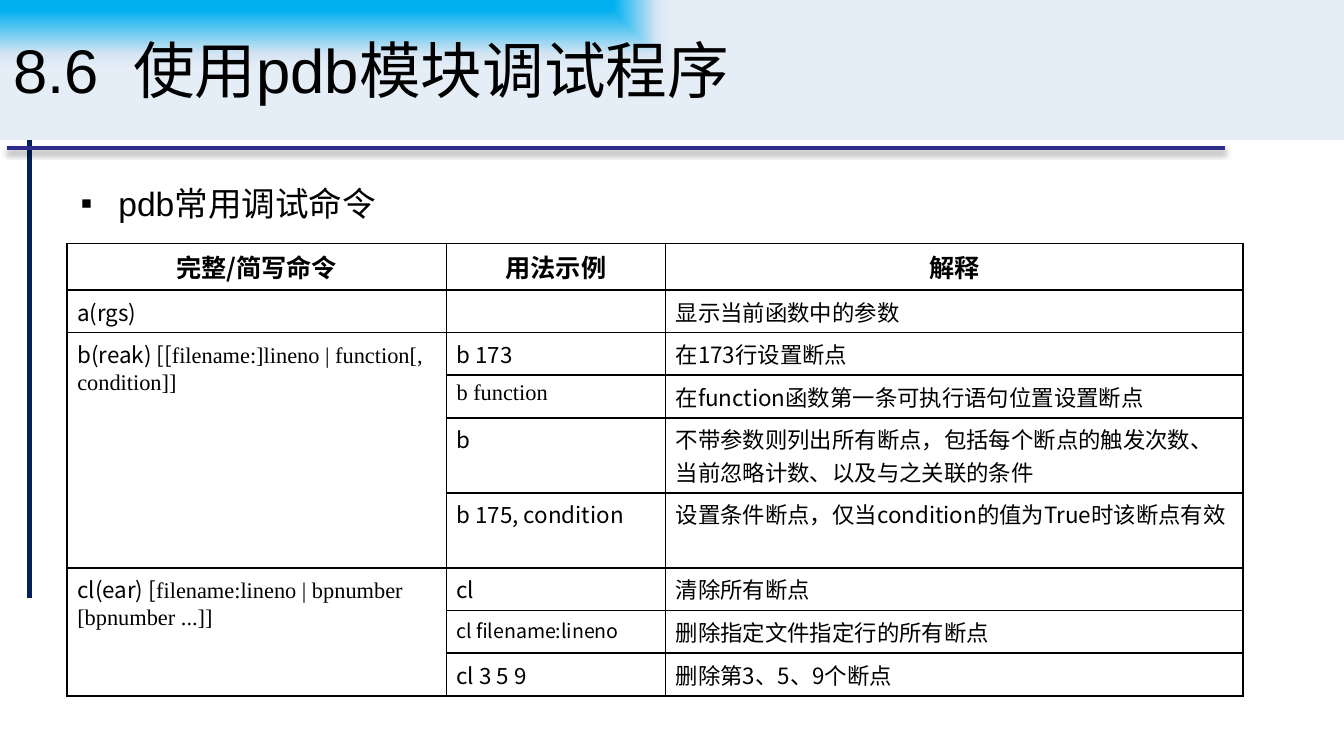
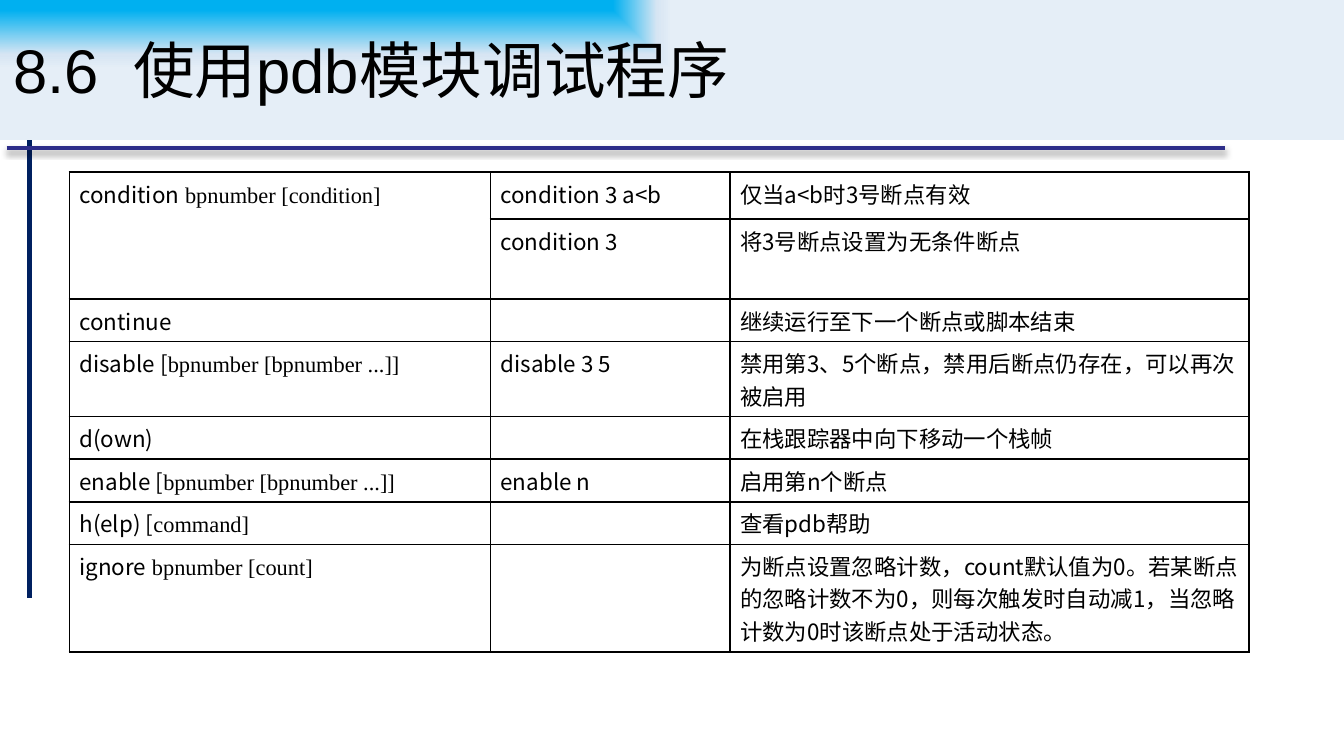
"""Build two slides on the debugging commands of the pdb module."""
from itertools import groupby

from lxml.etree import SubElement
from pptx import Presentation
from pptx.dml.color import RGBColor
from pptx.enum.shapes import MSO_CONNECTOR
from pptx.enum.text import MSO_ANCHOR, MSO_AUTO_SIZE, PP_ALIGN
from pptx.oxml import parse_xml
from pptx.oxml.ns import nsdecls, qn
from pptx.util import Pt

BLACK = RGBColor(0x00, 0x00, 0x00)
NAVY = RGBColor(0x00, 0x20, 0x60)
INDIGO = RGBColor(0x2D, 0x2D, 0x89)
SKY = RGBColor(0x00, 0xB0, 0xF0)
PALE = RGBColor(0xD7, 0xE5, 0xF3)
MIST = RGBColor(0xE5, 0xEE, 0xF7)
HEADING_FONT, SANS, SERIF = "Arial", "Noto Sans CJK SC", "Times New Roman"

TITLE = "8.6  使用pdb模块调试程序"
TITLE_BOX = (0, -0.72, 720, 75.6)
TITLE_STOPS = [(0, SKY), (16, SKY), (79, PALE), (100, MIST)]
BODY_BOX = (36, 94.3, 648, 267)
RULES = [
    {"ends": (15.84, 58.3, 15.84, 320.4), "color": NAVY, "shadow": False},
    {"ends": (3.6, 79.2, 656, 79.2), "color": INDIGO, "shadow": True},
]

SLIDES = [
    {
        "bullet": "pdb常用调试命令",
        "position": (36, 130.5),
        "columns": [203.2, 117.4, 309.4],
        "rows": [21.6, 20.2, 20.2, 21.6, 34.6, 21.6, 20.2, 20.2, 23],
        "header": True,
        "cells": [
            ("完整/简写命令", "用法示例", "解释"),
            ("a(rgs)", "", "显示当前函数中的参数"),
            (("b(reak) [[", "filename:]lineno | function[, condition]]"),
             "b 173", "在173行设置断点"),
            (None, ("", "b function"), "在function函数第一条可执行语句位置设置断点"),
            (None, "b", "不带参数则列出所有断点，包括每个断点的触发次数、当前忽略计数、以及与之关联的条件"),
            (None, "b 175, condition", "设置条件断点，仅当condition的值为True时该断点有效"),
            (("cl(ear) [", "filename:lineno | bpnumber [bpnumber ...]]"),
             "cl", "清除所有断点"),
            (None, "cl filename:lineno", "删除指定文件指定行的所有断点"),
            (None, "cl 3 5 9", "删除第3、5、9个断点"),
        ],
        "small": "cl filename:lineno",
    },
    {
        "bullet": None,
        "position": (37.2, 92.2),
        "columns": [225.6, 128.3, 278],
        "rows": [25.2, 42.8, 20.2, 34.6, 20.2, 22.3, 20.9, 49.7],
        "header": False,
        "cells": [
            (("condition", " bpnumber [condition]"), "condition 3 a<b", "仅当a<b时3号断点有效"),
            (None, "condition 3", "将3号断点设置为无条件断点"),
            ("continue", "", "继续运行至下一个断点或脚本结束"),
            (("disable [", "bpnumber [bpnumber ...]]"), "disable 3 5",
             "禁用第3、5个断点，禁用后断点仍存在，可以再次被启用"),
            ("d(own)", "", "在栈跟踪器中向下移动一个栈帧"),
            (("enable [", "bpnumber [bpnumber ...]]"), "enable n", "启用第n个断点"),
            (("h(elp) [", "command]"), "", "查看pdb帮助"),
            (("ignore", " bpnumber [count]"), "",
             "为断点设置忽略计数，count默认值为0。若某断点的忽略计数不为0，"
             "则每次触发时自动减1，当忽略计数为0时该断点处于活动状态。"),
        ],
        "small": None,
    },
]


def apply_format(target, values):
    for name, value in values.items():
        setattr(target, name, value)


def place(shape, box):
    names = ("left", "top", "width", "height")
    apply_format(shape, {name: Pt(value) for name, value in zip(names, box)})


def add_run(paragraph, text, font, size, bold=False):
    run = paragraph.add_run()
    run.text = text
    apply_format(run.font, {"name": font, "size": Pt(size), "bold": bold})
    run.font.color.rgb = BLACK
    east_asian = SubElement(run.font._element, qn("a:ea"))
    east_asian.set("typeface", SANS)


def add_rules(slide, master):
    for number, rule in enumerate(RULES):
        ends = [Pt(value) for value in rule["ends"]]
        connector = slide.shapes.add_connector(MSO_CONNECTOR.STRAIGHT, *ends)
        connector.line.width = Pt(2.25)
        connector.line.color.rgb = rule["color"]
        effects = SubElement(connector.element.spPr, qn("a:effectLst"))
        if rule["shadow"]:
            effects.append(parse_xml(
                f'<a:outerShdw {nsdecls("a")} blurRad="{Pt(3.1)}" dist="{Pt(1.8)}" '
                'dir="5400000" algn="t" rotWithShape="0"><a:srgbClr val="000000">'
                '<a:alpha val="35000"/></a:srgbClr></a:outerShdw>'))
        connector.element.nvCxnSpPr.cNvPr.set("id", str(100 + number))
        master.shapes.element.append(connector.element)


def format_title(title):
    place(title, TITLE_BOX)
    stops = "".join(f'<a:gs pos="{position * 1000}"><a:srgbClr val="{color}"/></a:gs>'
                    for position, color in TITLE_STOPS)
    title.element.spPr.append(parse_xml(
        f'<a:gradFill {nsdecls("a")} rotWithShape="1"><a:gsLst>{stops}</a:gsLst>'
        '<a:path path="rect"><a:fillToRect r="100000" b="100000"/></a:path>'
        '<a:tileRect l="-100000" t="-100000"/></a:gradFill>'))
    apply_format(title.text_frame, {"vertical_anchor": MSO_ANCHOR.MIDDLE, "word_wrap": True,
                                    "auto_size": MSO_AUTO_SIZE.NONE})
    paragraph = title.text_frame.paragraphs[0]
    paragraph.alignment = PP_ALIGN.LEFT
    add_run(paragraph, TITLE, HEADING_FONT, 33)


def format_body(body, text):
    place(body, BODY_BOX)
    body.text_frame.auto_size = MSO_AUTO_SIZE.NONE
    paragraph = body.text_frame.paragraphs[0]
    paragraph.space_before = Pt(2.7)
    add_run(paragraph, text, HEADING_FONT, 18)
    properties = paragraph._p.get_or_add_pPr()
    properties.set("marL", str(Pt(20.2)))
    properties.set("indent", str(Pt(-20.2)))
    SubElement(properties, qn("a:buFont")).set("typeface", HEADING_FONT)
    SubElement(properties, qn("a:buChar")).set("char", "▪")


def format_cell(cell, content, size, bold):
    apply_format(cell, {"margin_left": Pt(5.4), "margin_right": Pt(5.4),
                        "margin_top": Pt(2.7), "margin_bottom": Pt(2.7),
                        "vertical_anchor": MSO_ANCHOR.TOP})
    cell.fill.background()
    properties = cell._tc.get_or_add_tcPr()
    for index, side in enumerate(("lnL", "lnR", "lnT", "lnB")):
        properties.insert(index, parse_xml(
            f'<a:{side} {nsdecls("a")} w="{Pt(1)}"><a:solidFill>'
            f'<a:srgbClr val="{BLACK}"/></a:solidFill></a:{side}>'))
    paragraph = cell.text_frame.paragraphs[0]
    if bold:
        paragraph.alignment = PP_ALIGN.CENTER
    parts = content if isinstance(content, tuple) else (content, "")
    for text, font in zip(parts, (SANS, SERIF)):
        if text:
            add_run(paragraph, text, font, size, bold)
    if not content:
        SubElement(paragraph._p, qn("a:endParaRPr")).set("sz", str(size * 100))


def add_command_table(slide, data):
    columns, rows, cells = data["columns"], data["rows"], data["cells"]
    box = [Pt(value) for value in (*data["position"], sum(columns), sum(rows))]
    table = slide.shapes.add_table(len(rows), len(columns), *box).table
    apply_format(table, {"first_row": False, "horz_banding": False})
    for column, width in zip(table.columns, columns):
        column.width = Pt(width)
    for row, height in zip(table.rows, rows):
        row.height = Pt(height)
    starts = []
    for row_index, contents in enumerate(cells):
        heading = data["header"] and row_index == 0
        starts.append(row_index if contents[0] is not None else starts[-1])
        for column_index, content in enumerate(contents):
            size = 13.5 if heading else 10.5 if content and content == data["small"] else 12
            format_cell(table.cell(row_index, column_index), content, size, heading)
    for start, group in groupby(starts):
        span = len(list(group))
        if span > 1:
            table.cell(start, 0).merge(table.cell(start + span - 1, 0))


presentation = Presentation()
presentation.slide_width, presentation.slide_height = Pt(720), Pt(405)
for number, data in enumerate(SLIDES):
    layout_name = "Title and Content" if data["bullet"] else "Title Only"
    slide = presentation.slides.add_slide(presentation.slide_layouts.get_by_name(layout_name))
    if number == 0:
        add_rules(slide, presentation.slide_master)
    format_title(slide.shapes.title)
    if data["bullet"]:
        format_body(slide.placeholders[1], data["bullet"])
    add_command_table(slide, data)
presentation.save("out.pptx")
